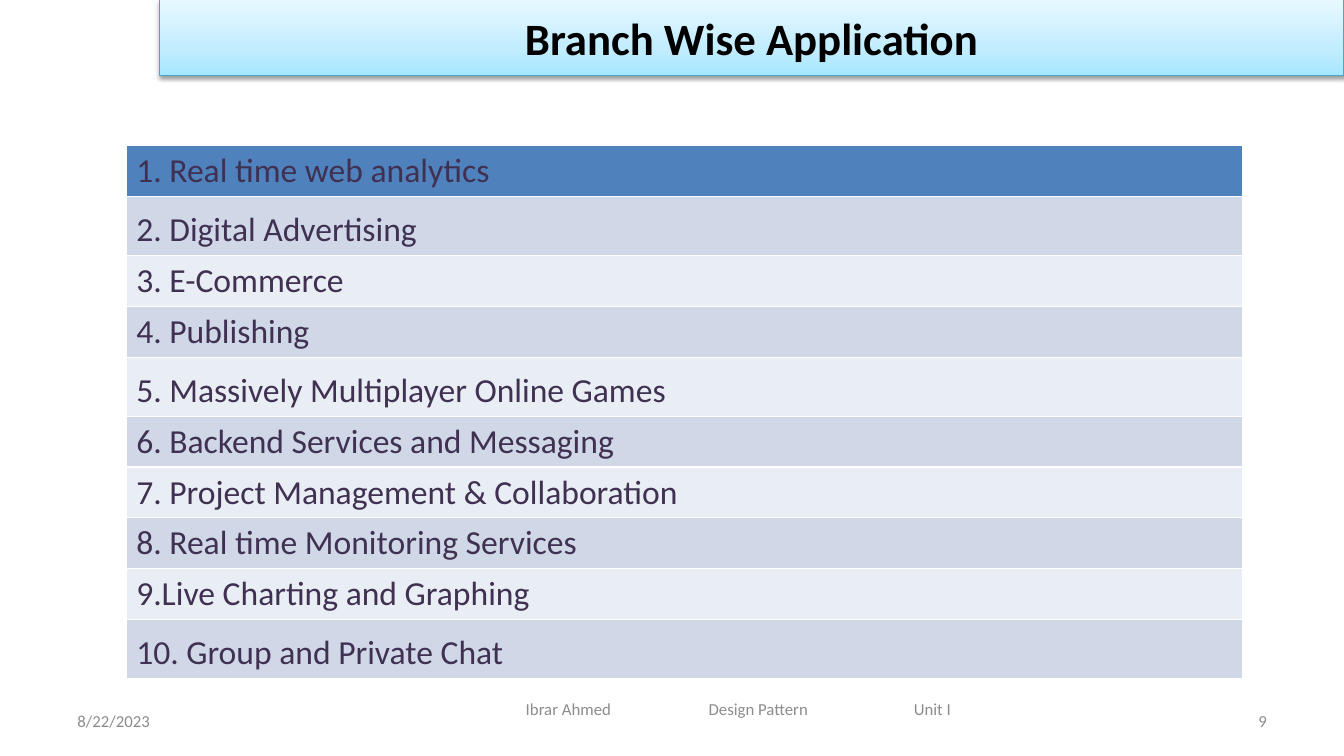
from lxml import etree
from pptx import Presentation
from pptx.dml.color import RGBColor
from pptx.enum.shapes import MSO_SHAPE
from pptx.enum.text import MSO_ANCHOR, PP_ALIGN
from pptx.oxml import parse_xml
from pptx.oxml.ns import qn
from pptx.util import Cm, Pt

RECTANGLE = MSO_SHAPE.RECTANGLE
MIDDLE = MSO_ANCHOR.MIDDLE
LEFT, CENTER, RIGHT = PP_ALIGN.LEFT, PP_ALIGN.CENTER, PP_ALIGN.RIGHT

FONT = "Calibri"
DRAWING_NS = "http://schemas.openxmlformats.org/drawingml/2006/main"
COLORS = {
    "title": "000000",
    "title_line": "46AAC5",
    "title_bottom": "A7E6FF",
    "title_middle": "C1EDFF",
    "title_top": "E7F8FF",
    "shadow": "000000",
    "footer": "8C8C8C",
    "entry": "403152",
    "first_row": "4F81BD",
    "dark_band": "D0D8E8",
    "light_band": "E9EDF4",
}
APPLICATIONS = [
    "1. Real time web analytics",
    "2. Digital Advertising",
    "3. E-Commerce",
    "4. Publishing",
    "5. Massively Multiplayer Online Games",
    "6. Backend Services and Messaging",
    "7. Project Management & Collaboration",
    "8. Real time Monitoring Services",
    "9.Live Charting and Graphing",
    "10. Group and Private Chat",
]
LOOSE_ROWS = {1, 4, 9}  # rows with wider line spacing


def color(name):
    return RGBColor.from_string(COLORS[name])


def style_paragraph(para, size, color_name, bold=False, align=LEFT):
    para.alignment = align
    para.font.name = FONT
    para.font.size = Pt(size)
    para.font.bold = bold
    para.font.color.rgb = color(color_name)


def add_title(page, left, top, width, height):
    bar = page.shapes.add_shape(RECTANGLE, left, top, width, height)
    # Gradient running from bottom to top
    stops = [(0, "title_bottom"), (35, "title_middle"), (100, "title_top")]
    stop_xml = "".join(
        f'<a:gs pos="{percent * 1000}"><a:srgbClr val="{COLORS[name]}"/></a:gs>'
        for percent, name in stops
    )
    gradient = parse_xml(
        f'<a:gradFill xmlns:a="{DRAWING_NS}" rotWithShape="1">'
        f'<a:gsLst>{stop_xml}</a:gsLst><a:lin ang="16200000" scaled="0"/></a:gradFill>'
    )
    properties = bar._element.spPr
    properties.find(qn("a:prstGeom")).addnext(gradient)
    bar.line.color.rgb = color("title_line")
    bar.line.width = Pt(0.75)
    # Soft shadow below the bar
    bar.shadow.inherit = False
    properties.find(qn("a:effectLst")).append(parse_xml(
        f'<a:outerShdw xmlns:a="{DRAWING_NS}" blurRad="{Pt(3.1)}" dist="{Pt(1.6)}" '
        f'dir="5400000" rotWithShape="0"><a:srgbClr val="{COLORS["shadow"]}">'
        '<a:alpha val="38000"/></a:srgbClr></a:outerShdw>'
    ))
    bar.text_frame.vertical_anchor = MIDDLE
    para = bar.text_frame.paragraphs[0]
    para.text = "Branch Wise Application"
    style_paragraph(para, 32, "title", bold=True, align=CENTER)


def add_applications(page, left, top, width):
    row_height, loose_height = Cm(1.28), Cm(1.49)
    count = len(APPLICATIONS)
    table = page.shapes.add_table(count, 1, left, top, width, row_height * count).table
    for index, entry in enumerate(APPLICATIONS):
        loose = index in LOOSE_ROWS
        table.rows[index].height = loose_height if loose else row_height
        cell = table.cell(index, 0)
        band = "dark_band" if index % 2 else "light_band"
        cell.fill.solid()
        cell.fill.fore_color.rgb = color(band if index else "first_row")
        para = cell.text_frame.paragraphs[0]
        para.text = entry
        if loose:
            para.line_spacing = 1.2
        style_paragraph(para, 24, "entry")


def add_footer_text(page, left, top, width, text, align=LEFT, indent=Cm(0.25), tabs=()):
    box = page.shapes.add_textbox(left, top, width, Cm(1.01))
    frame = box.text_frame
    frame.word_wrap = True
    frame.vertical_anchor = MIDDLE
    frame.margin_left = indent
    para = frame.paragraphs[0]
    para.text = text
    if tabs:
        tab_list = etree.SubElement(para._p.get_or_add_pPr(), qn("a:tabLst"))
        for position in tabs:
            etree.SubElement(tab_list, qn("a:tab"), pos=str(position), algn="l")
    style_paragraph(para, 12, "footer", align=align)


def add_footer(page, left, top, width):
    side_width = Cm(7.9)
    add_footer_text(page, left, top, side_width, "8/22/2023")
    add_footer_text(
        page, left + Cm(10.36), top - Cm(0.3), Cm(13.13),
        "Ibrar Ahmed\tDesign Pattern\tUnit I",
        indent=Cm(1.19), tabs=(Cm(4.61), Cm(9.78)),
    )
    add_footer_text(page, left + width - side_width, top, side_width, "9", align=RIGHT)


def main():
    deck = Presentation()
    deck.slide_width, deck.slide_height = Cm(33.87), Cm(19.05)
    page = deck.slides.add_slide(deck.slide_layouts[6])
    add_footer(page, Cm(1.7), Cm(17.65), Cm(30.48))
    add_title(page, Cm(4.02), Cm(0), Cm(29.85), Cm(1.9))
    add_applications(page, Cm(3.18), Cm(3.67), Cm(28.14))
    deck.save("out.pptx")


if __name__ == "__main__":
    main()
